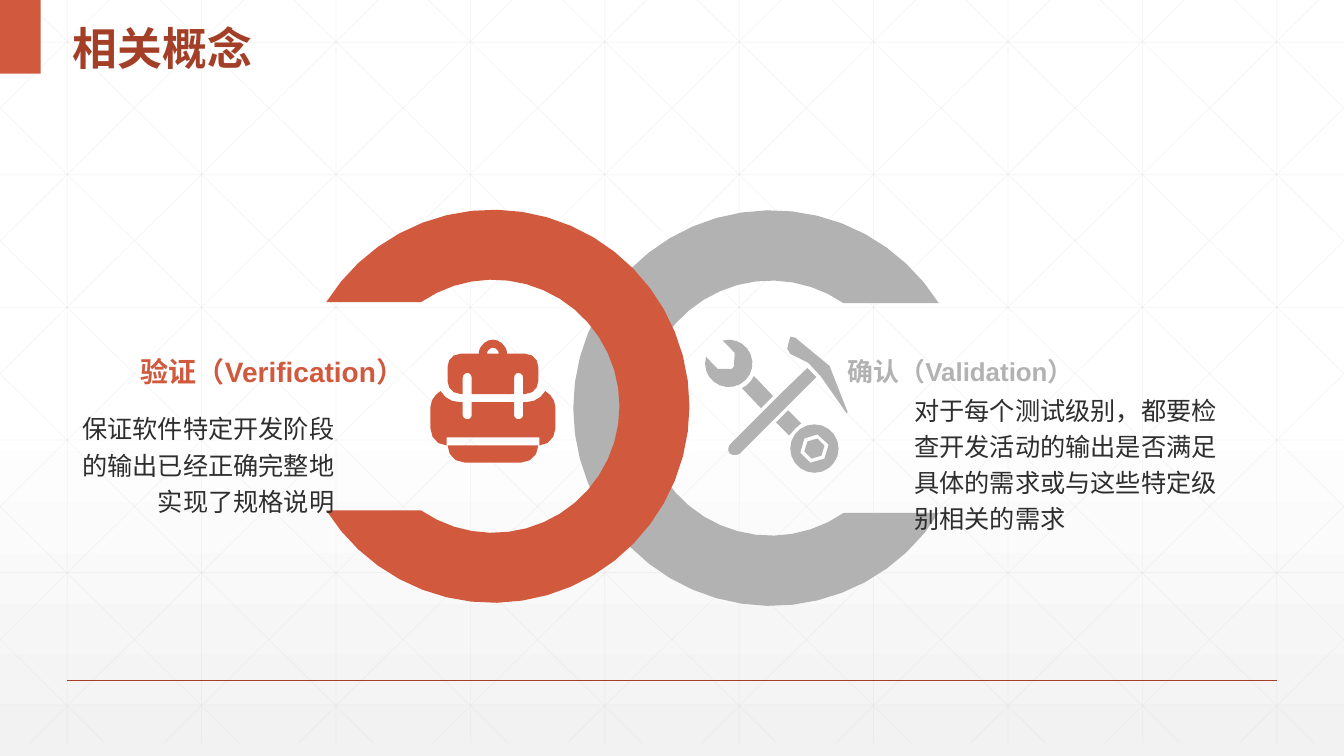
from math import asin, cos, degrees, radians, sin

from lxml import etree
from pptx import Presentation
from pptx.dml.color import RGBColor
from pptx.enum.shapes import MSO_CONNECTOR, MSO_SHAPE
from pptx.enum.text import MSO_ANCHOR, PP_ALIGN
from pptx.oxml.ns import qn
from pptx.util import Pt

LEFT, RIGHT = PP_ALIGN.LEFT, PP_ALIGN.RIGHT
TOP, MIDDLE = MSO_ANCHOR.TOP, MSO_ANCHOR.MIDDLE

RED = RGBColor(0xD1, 0x5A, 0x3E)
DARK_RED = RGBColor(0xA4, 0x3F, 0x27)
GREY = RGBColor(0xB2, 0xB2, 0xB2)
GRID = RGBColor(0xD9, 0xD9, 0xD9)
INK = RGBColor(0x2D, 0x2E, 0x2D)
WHITE = RGBColor(0xFF, 0xFF, 0xFF)
PALE = RGBColor(0xF2, 0xF2, 0xF2)
LATIN, CJK = "Arial", "Noto Sans CJK SC"

WIDTH, HEIGHT = 960, 540
GRID_BOTTOM = 530.6
GRID_STEP_X, GRID_STEP_Y = 96, 94.68
DIAGONAL_RUN = 536.7  # horizontal travel from the top to GRID_BOTTOM

# text, box (left, top, width, height), size, font, colour, bold, align, anchor, spacing, inset, wrap
TITLE = ("相关概念", (44.8, 1.9, 409.7, 52.6), 32, LATIN, DARK_RED, True,
         LEFT, MIDDLE, 1.3, 7.2, True)
VALIDATION = [
    ("对于每个测试级别，都要检查开发活动的输出是否满足具体的需求或与这些特定级别相关的需求",
     (647.3, 252.9, 238.3, 153.4), 18, CJK, INK, False, LEFT, MIDDLE, 1.2, 5.76, True),
    ("确认（Validation）", (599.8, 253.9, 290.9, 19.4), 18.5, LATIN, GREY, True,
     LEFT, TOP, 1, 5.76, False),
]
VERIFICATION = [
    ("保证软件特定开发阶段的输出已经正确完整地实现了规格说明",
     (45.2, 289.4, 199.4, 81.4), 18, CJK, INK, False, RIGHT, MIDDLE, 1.2, 5.76, True),
    ("验证（Verification）", (78.5, 253.4, 216, 20.2), 20, LATIN, RED, True,
     RIGHT, TOP, 1, 5.76, False),
]

# centre x, centre y, outer radius, inner radius, half gap, side of the gap
GREY_RING = (550.8, 291.5, 141.3, 91.1, 74.9, 1)
RED_RING = (352.1, 290.2, 140.4, 90.4, 74.4, -1)

# Icons use a grid of 0.72 pt. A pair is a corner, six numbers are a Bezier curve.
ICON_UNIT = 0.72
BACKPACK_AT = (352.1, 242.6)
BACKPACK_RIGHT_HALVES = [
    [(0, 105), (45, 105), (45, 114, 38, 122, 28, 122)],
    [(0, 62), (21, 62), (21, 75), (21, 77, 23, 79, 25, 79), (28, 79, 30, 77, 30, 75),
     (30, 62), (33, 62), (41, 62, 48, 58, 52, 51), (57, 54, 62, 60, 62, 67),
     (62, 88), (62, 97, 55, 105, 46, 105), (46, 97)],
    [(0, 0), (5, 0, 9, 3, 11, 6), (13, 8, 14, 11, 14, 14), (32, 14),
     (40, 14, 45, 20, 45, 27), (45, 41), (45, 48, 40, 54, 32, 54), (30, 54),
     (30, 38), (30, 35, 28, 33, 25, 33), (23, 33, 21, 35, 21, 38), (21, 54)],
    [(0, 8), (3, 8, 6, 11, 6, 14)],
]


def arc(cx, cy, radius, start, end, steps):
    angles = [radians(start + (end - start) * i / steps) for i in range(steps + 1)]
    return [(cx + radius * cos(a), cy + radius * sin(a)) for a in angles]


TOOLS_AT = (503.3, 240.5)
TOOLS = {
    "nut hole": [(112, 101), (119, 108), (116, 118), (106, 121), (99, 114), (102, 104)],
    "nut rim": [(112, 97), (99, 101), (95, 115), (105, 125), (119, 121), (123, 107)],
    "nut disc": arc(109, 111, 24, 0, 360, 20),
    "wrench end": [(83, 73), (96, 86), (90, 91), (84, 98), (71, 85)],
    "wrench shaft": [(49, 39), (68, 59), (56, 71), (37, 51), (42, 49, 46, 45, 49, 39)],
    "pick handle": [(102, 31), (111, 40), (35, 116), (32, 118, 28, 118, 25, 116),
                    (23, 114, 23, 110, 25, 107), (57, 75), (73, 59)],
    "wrench jaw": arc(24, 26.5, 23.5, -105, 196, 18) + [(13, 32), (27, 32), (29, 30),
                                                        (30, 16), (29, 15)],
    "pick head": [(85, 0), (90, 1), (124, 29), (142, 75), (141, 76), (115, 39),
                  (103, 26), (85, 17), (82, 12)],
}


def flatten(path, steps=3):
    """Turn the Bezier curves of a path into short straight pieces."""
    points = []
    for part in path:
        if len(part) == 2:
            points.append(part)
            continue
        ends = [points[-1], part[:2], part[2:4], part[4:]]
        for i in range(1, steps + 1):
            t = i / steps
            weights = ((1 - t) ** 3, 3 * t * (1 - t) ** 2, 3 * t * t * (1 - t), t ** 3)
            points.append(tuple(sum(w * e[k] for w, e in zip(weights, ends)) for k in (0, 1)))
    return points


def mirrored(half):
    return half + [(-x, y) for x, y in reversed(half)]


def paint(sp, color):
    sp.shadow.inherit = False
    sp.fill.solid()
    sp.fill.fore_color.rgb = color
    sp.line.fill.background()


def add_outline(slide, contours, color, at=(0, 0), unit=1):
    placed = [[(Pt(at[0] + x * unit), Pt(at[1] + y * unit)) for x, y in c] for c in contours]
    builder = slide.shapes.build_freeform(*placed[0][0])
    for i, points in enumerate(placed):
        if i:
            builder.move_to(*points[0])
        builder.add_line_segments(points[1:], close=True)
    paint(builder.convert_to_shape(), color)


def add_ring(slide, ring, color):
    cx, cy, outer, inner, gap, side = ring
    cut_out, cut_in = (degrees(asin(gap / r)) for r in (outer, inner))
    points = (arc(0, 0, outer, cut_out, 360 - cut_out, 40)
              + arc(0, 0, inner, 360 - cut_in, cut_in, 30))
    add_outline(slide, [[(side * x, y) for x, y in points]], color, (cx, cy))


def add_line(slide, x1, y1, x2, y2, color, width, alpha=None):
    line = slide.shapes.add_connector(MSO_CONNECTOR.STRAIGHT, Pt(x1), Pt(y1), Pt(x2), Pt(y2))
    line.line.color.rgb = color
    line.line.width = Pt(width)
    sp_pr = line._element.spPr
    if alpha:
        etree.SubElement(next(sp_pr.iter(qn("a:srgbClr"))), qn("a:alpha"), val=str(alpha * 1000))
    etree.SubElement(sp_pr, qn("a:effectLst"))


def add_grid(slide):
    lines = [(x, 0, x, GRID_BOTTOM) for x in (48 + GRID_STEP_X * i for i in range(10))]
    lines += [(0, y, WIDTH, y) for y in (30.2 + GRID_STEP_Y * i for i in range(6))]
    slope = GRID_BOTTOM / DIAGONAL_RUN
    for i in range(-5, 10):
        start = 18 + GRID_STEP_X * i
        x1, x2 = max(start, 0), min(start + DIAGONAL_RUN, WIDTH)
        y1, y2 = (x1 - start) * slope, (x2 - start) * slope
        lines += [(x1, y1, x2, y2), (WIDTH - x1, y1, WIDTH - x2, y2)]
    for line in lines:
        add_line(slide, *line, GRID, 0.5, 25)


def add_text(slide, text, box, size, font, color, bold, align, anchor, spacing, inset, wrap):
    tf = slide.shapes.add_textbox(*map(Pt, box)).text_frame
    tf.word_wrap = wrap
    tf.vertical_anchor = anchor
    tf.margin_left = tf.margin_right = Pt(inset)
    tf.margin_top = tf.margin_bottom = 0
    tf.text = text
    p = tf.paragraphs[0]
    p.alignment = align
    p.line_spacing = spacing
    r = p.runs[0]
    r.font.size, r.font.name, r.font.bold = Pt(size), font, bold
    r.font.color.rgb = color
    etree.SubElement(r._r.get_or_add_rPr(), qn("a:ea"), typeface=CJK)


def main():
    prs = Presentation()
    prs.slide_width, prs.slide_height = Pt(WIDTH), Pt(HEIGHT)
    slide = prs.slides.add_slide(prs.slide_layouts[6])

    fill = slide.background.fill
    fill.gradient()
    fill.gradient_angle = 270
    for stop, color, position in zip(fill.gradient_stops, (WHITE, PALE), (0.53, 1)):
        stop.color.rgb = color
        stop.position = position

    add_grid(slide)
    add_line(slide, 48, 486, 912, 486, DARK_RED, 1)
    paint(slide.shapes.add_shape(MSO_SHAPE.RECTANGLE, 0, 0, Pt(29), Pt(52.6)), RED)
    add_text(slide, *TITLE)

    add_ring(slide, GREY_RING, GREY)
    add_outline(slide, [flatten(c) for c in TOOLS.values()], GREY, TOOLS_AT, ICON_UNIT)
    for item in VALIDATION:
        add_text(slide, *item)

    add_ring(slide, RED_RING, RED)
    backpack = [mirrored(flatten(half)) for half in BACKPACK_RIGHT_HALVES]
    add_outline(slide, backpack, RED, BACKPACK_AT, ICON_UNIT)
    for item in VERIFICATION:
        add_text(slide, *item)

    prs.save("out.pptx")


if __name__ == "__main__":
    main()
